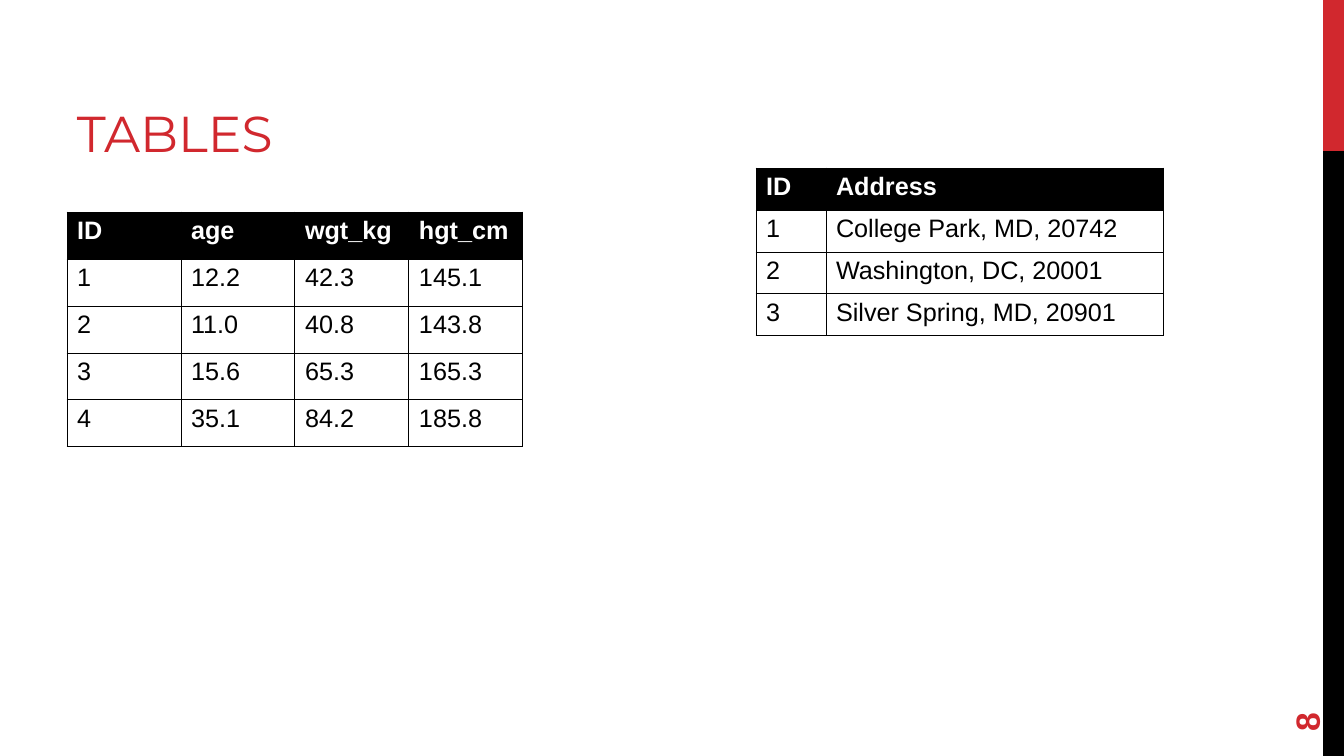
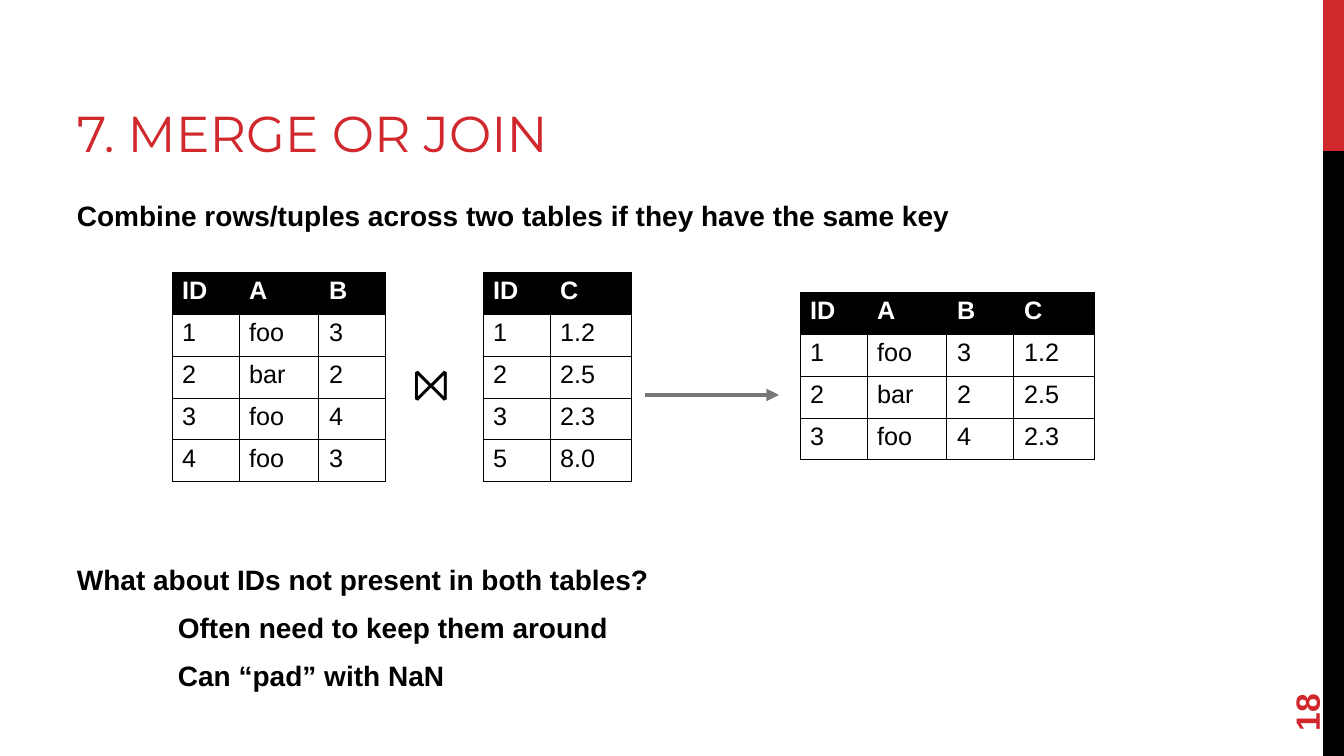
"""Build two slides on tables and joins."""
from lxml.etree import SubElement as Sub
from pptx import Presentation
from pptx.dml.color import RGBColor as RGB
from pptx.enum.shapes import MSO_CONNECTOR as Conn, MSO_SHAPE as Shape
from pptx.enum.text import MSO_ANCHOR as Anchor
from pptx.oxml.ns import qn
from pptx.util import Emu, Pt

RED = RGB(0xD1, 0x28, 0x2E)
BLACK = RGB(0, 0, 0)
WHITE = RGB(255, 255, 255)
GRAY = RGB(0x77, 0x77, 0x77)
SANS = "Arial"
HEAD = "Montserrat"
WIDE, HIGH = 1344, 756
EDGE = 67


def px(num):
    """Turn px into EMU."""
    return Emu(round(num * 914400 / 100.8))


def put(para, text, size, color, bold=False, face=SANS):
    """Add one styled run to a paragraph."""
    run = para.add_run()
    run.text = text
    font = run.font
    font.name, font.size, font.bold = face, Pt(size), bold
    font.color.rgb = color


def label(slide, box, lines, size, color, bold=False, face=SANS,
          anchor=Anchor.TOP):
    """Place a text box of (text, indent) lines and return it."""
    shape = slide.shapes.add_textbox(*map(px, box))
    frame = shape.text_frame
    frame.word_wrap = True
    frame.vertical_anchor = anchor
    for i, (text, indent) in enumerate(lines):
        para = frame.add_paragraph() if i else frame.paragraphs[0]
        if i:
            para.space_before = Pt(10)
        if indent:
            para._p.get_or_add_pPr().set("marL", str(px(indent)))
        put(para, text, size, color, bold, face)
    return shape


def band(slide, top, high, color):
    """Draw one part of the right-hand band."""
    wide = 21
    box = (WIDE - wide, top, wide, high)
    shape = slide.shapes.add_shape(Shape.RECTANGLE, *map(px, box))
    shape.shadow.inherit = False
    shape.fill.solid()
    shape.fill.fore_color.rgb = color
    shape.line.fill.background()


def base(deck, title, page):
    """Add a slide with its bands, title and page number."""
    slide = deck.slides.add_slide(deck.slide_layouts[6])
    split = 151
    band(slide, 0, split, RED)
    band(slide, split, HIGH - split, BLACK)
    label(slide, (EDGE, 17, 851, 151), [(title, 0)], 36, RED,
          face=HEAD, anchor=Anchor.BOTTOM)
    num = label(slide, (1234, 642, 145, 53), [(str(page), 0)], 24, RED,
                bold=True, anchor=Anchor.MIDDLE)
    num.rotation = 270
    return slide


def frame(cell):
    """Give a cell thin black borders."""
    props = cell._tc.get_or_add_tcPr()
    for side in ("lnL", "lnR", "lnT", "lnB"):
        line = Sub(props, qn("a:" + side), w=str(Pt(0.75)))
        fill = Sub(line, qn("a:solidFill"))
        Sub(fill, qn("a:srgbClr"), val=str(BLACK))


def grid(slide, left, top, cols, row, data):
    """Draw a table with a black head row."""
    box = (left, top, sum(cols), row * len(data))
    table = slide.shapes.add_table(len(data), len(cols), *map(px, box)).table
    table.horz_banding = False
    for col, wide in zip(table.columns, cols):
        col.width = px(wide)
    for r, texts in enumerate(data):
        table.rows[r].height = px(row)
        for c, text in enumerate(texts):
            cell = table.cell(r, c)
            frame(cell)
            if r:
                cell.fill.background()
            else:
                cell.fill.solid()
                cell.fill.fore_color.rgb = BLACK
            put(cell.text_frame.paragraphs[0], text, 18,
                BLACK if r else WHITE, bold=not r)


def arrow(slide, left, mid, wide):
    """Draw an arrow that points right."""
    line = slide.shapes.add_connector(
        Conn.STRAIGHT, px(left), px(mid), px(left + wide), px(mid))
    line.line.color.rgb = GRAY
    line.line.width = Pt(3)
    Sub(line.line._get_or_add_ln(), qn("a:tailEnd"), type="triangle")
    Sub(line._element.spPr, qn("a:effectLst"))


def tables(deck):
    """Build the slide with two sample tables."""
    slide = base(deck, "TABLES", 8)
    grid(slide, EDGE, 212, [114] * 4, 47, [
        ("ID", "age", "wgt_kg", "hgt_cm"),
        ("1", "12.2", "42.3", "145.1"),
        ("2", "11.0", "40.8", "143.8"),
        ("3", "15.6", "65.3", "165.3"),
        ("4", "35.1", "84.2", "185.8")])
    grid(slide, 756, 168, [70, 338], 42, [
        ("ID", "Address"),
        ("1", "College Park, MD, 20742"),
        ("2", "Washington, DC, 20001"),
        ("3", "Silver Spring, MD, 20901")])


def join(deck):
    """Build the slide that joins two tables into one."""
    slide = base(deck, "7. MERGE OR JOIN", 18)
    label(slide, (EDGE, 194, 1120, 482), [
        ("Combine rows/tuples across two tables if they have the same key",
         0)], 20, BLACK, bold=True)
    key, name, val = 67, 80, 81
    left = [("ID", "A", "B"), ("1", "foo", "3"), ("2", "bar", "2"),
            ("3", "foo", "4"), ("4", "foo", "3")]
    right = [("ID", "C"), ("1", "1.2"), ("2", "2.5"), ("3", "2.3"),
             ("5", "8.0")]
    match = dict(right)
    both = [row + (match[row[0]],) for row in left if row[0] in match]
    grid(slide, 172, 272, [key, name, key], 42, left)
    label(slide, (403, 351, 73, 64), [("⨝", 0)], 32, BLACK)
    grid(slide, 483, 272, [key, val], 42, right)
    arrow(slide, 645, 395, 134)
    grid(slide, 800, 292, [key, name, key, val], 42, both)
    label(slide, (EDGE, 558, 803, 196), [
        ("What about IDs not present in both tables?", 0),
        ("Often need to keep them around", 101),
        ("Can “pad” with NaN", 101)], 20, BLACK, bold=True)


def main():
    """Build and save the deck."""
    deck = Presentation()
    deck.slide_width, deck.slide_height = px(WIDE), px(HIGH)
    tables(deck)
    join(deck)
    deck.save("out.pptx")


if __name__ == "__main__":
    main()
